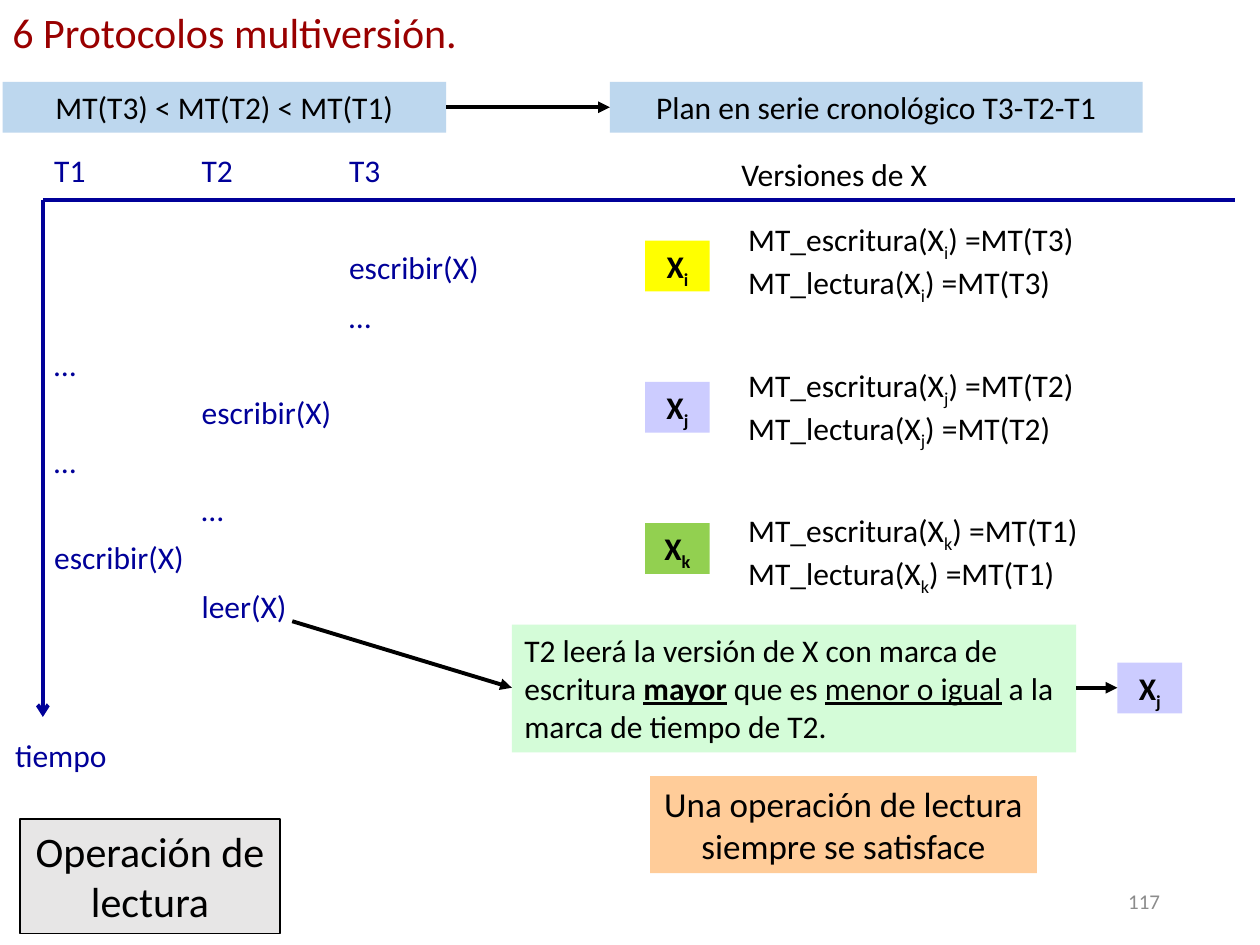
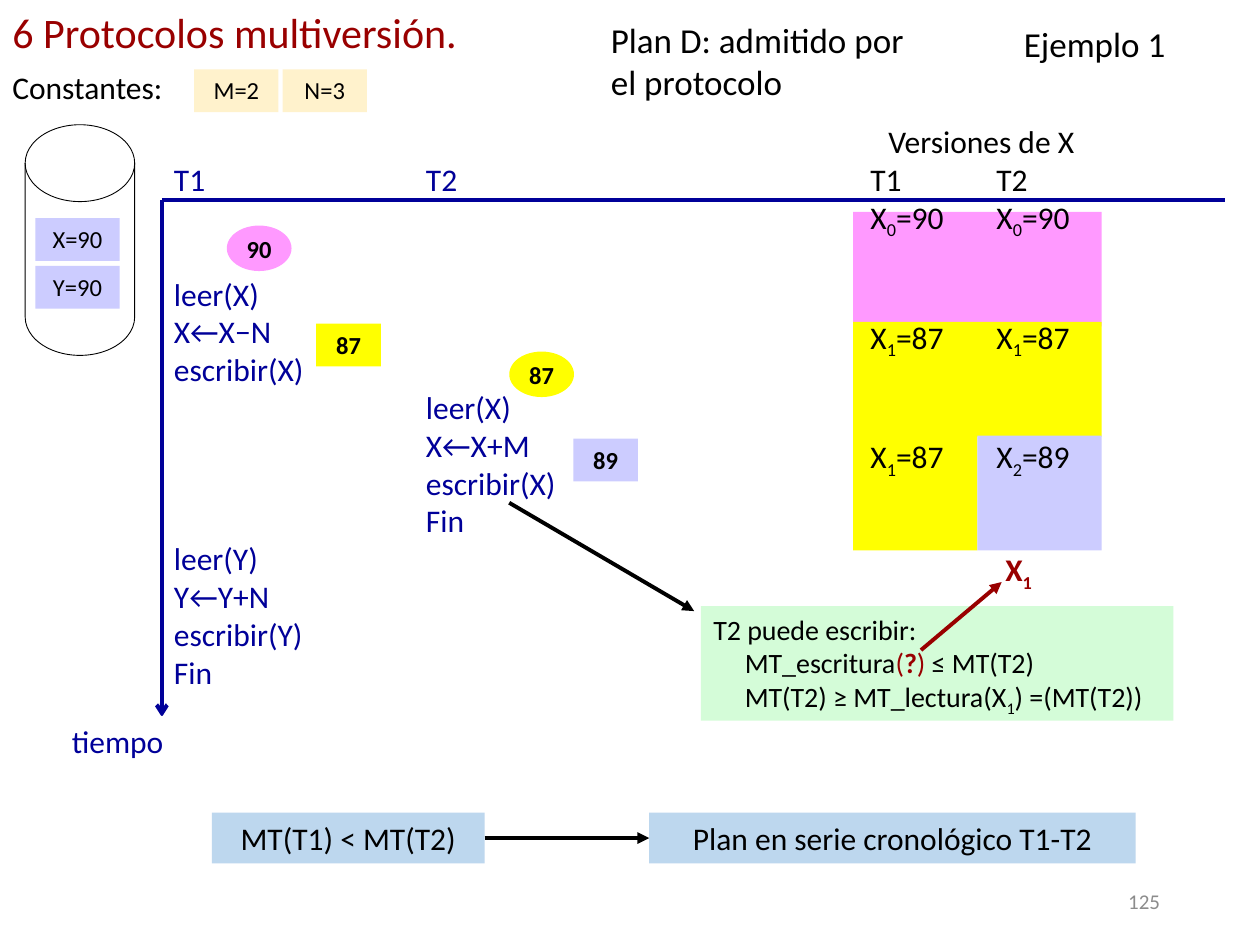
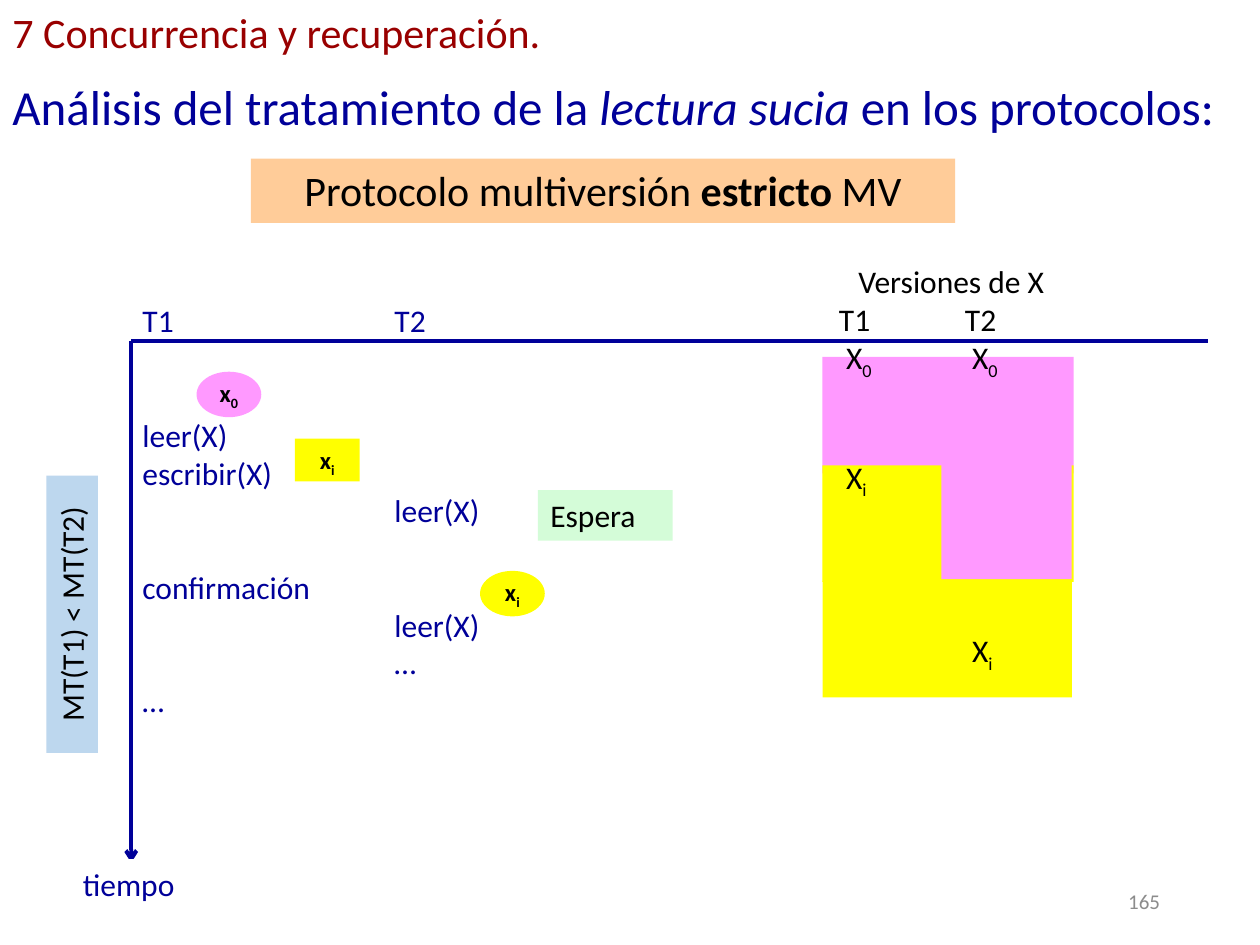
import pptx
import pptx.util
import pptx.dml.color
import pptx.enum.shapes
import pptx.enum.text
import pptx.oxml.ns
import lxml.etree

Pt = pptx.util.Pt
KIND = pptx.enum.shapes.MSO_SHAPE
ALIGN = pptx.enum.text.PP_ALIGN
ANCHOR = pptx.enum.text.MSO_ANCHOR
LINK = pptx.enum.shapes.MSO_CONNECTOR.STRAIGHT
tag = pptx.oxml.ns.qn

BLACK, WHITE, GREY = "000000", "FFFFFF", "8C8C8C"
NAVY, RED = "000099", "990000"
SKY, MINT, PEACH, CREAM = "BDD7EE", "D4FCD8", "FFCC99", "FFF2CC"
YELLOW, LILAC, PINK, GREEN, SILVER = "FFFF00", "CCCCFF", "FF99FF", "92D050", "E7E6E6"
FONT = "Calibri"
ROW = 22


def paint(part, code):
    part.rgb = pptx.dml.color.RGBColor.from_string(code)


def sub(base, mark, rest="", style=""):
    return [(base, style), (mark, style + "s"), (rest, style)]


def style_run(run, size, code, marks):
    font = run.font
    font.name, font.size = FONT, Pt(size)
    paint(font.color, RED if "r" in marks else code)
    font.bold = "b" in marks
    font.italic = "i" in marks
    font.underline = "u" in marks
    if "s" in marks:
        font._element.set("baseline", "-25000")


def write(shape, lines, size=18, code=BLACK, align=ALIGN.LEFT, wrap=True, mid=False):
    frame = shape.text_frame
    frame.word_wrap = wrap
    frame.vertical_anchor = ANCHOR.MIDDLE if mid else ANCHOR.TOP
    for n, line in enumerate(lines):
        par = frame.add_paragraph() if n else frame.paragraphs[0]
        par.alignment = align
        pieces = [line] if isinstance(line, str) else line
        for piece in pieces:
            words, marks = (piece, "") if isinstance(piece, str) else piece
            if words:
                run = par.add_run()
                run.text = words
                style_run(run, size, code, marks)
    return frame


def label(slide, box, lines, **look):
    return write(slide.shapes.add_textbox(*map(Pt, box)), lines, **look)


def block(slide, box, fill, lines=(), kind=KIND.RECTANGLE, edge=0, align=ALIGN.CENTER, **look):
    shape = slide.shapes.add_shape(kind, *map(Pt, box))
    shape.shadow.inherit = False
    shape.fill.solid()
    paint(shape.fill.fore_color, fill)
    if edge:
        shape.line.width = Pt(edge)
        paint(shape.line.color, BLACK)
    else:
        shape.line.fill.background()
    write(shape, lines, align=align, **look)
    return shape


def chip(slide, x, y, fill, words):
    return block(slide, (x, y, 37, 24.5), fill, [words], size=14)


def mark(slide, x, y, fill, name):
    block(slide, (x, y, 37, 29), fill, [sub("X", name, style="b")])


def oval(slide, x, y, fill, words):
    shape = block(slide, (x, y, 37, 26), fill, [words], kind=KIND.OVAL, size=14, wrap=False, mid=True)
    frame = shape.text_frame
    frame.margin_left = frame.margin_right = 0
    frame.margin_top = frame.margin_bottom = 0


def line(slide, x1, y1, x2, y2, code=BLACK, head="triangle"):
    link = slide.shapes.add_connector(LINK, *map(Pt, (x1, y1, x2, y2)))
    link.line.width = Pt(2.25)
    paint(link.line.color, code)
    if head:
        end = lxml.etree.SubElement(link.line._get_or_add_ln(), tag("a:tailEnd"))
        end.set("type", head)
    lxml.etree.SubElement(link._element.spPr, tag("a:effectLst"))


def axes(slide, x, y, right, low, note):
    line(slide, x, y, x, low, NAVY, "arrow")
    line(slide, x, y, right, y, NAVY, None)
    block(slide, (*note, 70, 29), WHITE, ["tiempo"], code=NAVY, align=ALIGN.LEFT)


def indent(par, size):
    props = par._p.get_or_add_pPr()
    props.set("marL", str(int(Pt(size))))
    props.set("indent", "0")


def stops(par, step, count):
    tabs = lxml.etree.SubElement(par._p.get_or_add_pPr(), tag("a:tabLst"))
    for n in range(1, count + 1):
        stop = lxml.etree.SubElement(tabs, tag("a:tab"))
        stop.set("pos", str(int(Pt(step * n))))
        stop.set("algn", "l")


def grid(slide, box, step, rows, gap=0, code=NAVY, inset=0):
    frame = label(slide, box, [words for _, _, words in rows], code=code)
    frame.margin_left = frame.margin_right = Pt(inset)
    last = rows[0][0] - 1
    for par, (row, col, _) in zip(frame.paragraphs, rows):
        stops(par, step, 2)
        if col:
            indent(par, col * step)
        skip = row - last - 1
        par.space_before = Pt(round(gap * (row > 0) + skip * (ROW + gap), 2))
        last = row
    return frame


def versions(slide, box, rows):
    head = [(0, 0, "Versiones de X"), (1, 0, "T1\tT2")]
    frame = grid(slide, box, 72, head + rows, code=BLACK, inset=7.2)
    frame.paragraphs[0].alignment = ALIGN.CENTER


def order(slide, y, left, wide, right, span, rule, plan):
    block(slide, (left, y, wide, 29), SKY, [rule])
    block(slide, (right, y, span, 29), SKY, [plan])
    line(slide, left + wide, y + 14.5, right, y + 14.5)


def start(deck, title, wide, page):
    slide = deck.slides.add_slide(deck.slide_layouts[6])
    label(slide, (508, 500.5, 162, 29), [page], size=12, code=GREY, align=ALIGN.RIGHT, mid=True)
    label(slide, (0, 0, wide, 36), [title], size=24, code=RED, wrap=False)
    return slide


def reading(deck):
    slide = start(deck, "6 Protocolos multiversión.", 272, "117")
    grid(slide, (31, 82.8, 471, 280), 84.25, [
        (0, 0, "T1\tT2\tT3"), (2, 2, "escribir(X)"), (3, 2, "…"), (4, 0, "…"),
        (5, 1, "escribir(X)"), (6, 0, "…"), (7, 1, "…"), (8, 0, "escribir(X)"),
        (9, 1, "leer(X)")], gap=6)
    order(slide, 46.8, 1.5, 253.5, 348.5, 304.5,
          "MT(T3) < MT(T2) < MT(T1)", "Plan en serie cronológico T3-T2-T1")
    axes(slide, 24.5, 114.5, 705.6, 409.7, (1.5, 417))
    label(slide, (332, 85, 289.5, 29), ["Versiones de X"], align=ALIGN.CENTER)
    items = [("i", "T3", YELLOW), ("j", "T2", LILAC), ("k", "T1", GREEN)]
    for n, (name, owner, fill) in enumerate(items):
        label(slide, (420.5, 122.4 + 83 * n, 232.5, 51),
              [sub(f"{verb}(X", name, f") =MT({owner})") for verb in ("MT_escritura", "MT_lectura")])
        mark(slide, 368.6, 137.5 + 80.7 * n, fill, name)
    block(slide, (292.5, 357, 322.5, 73), MINT, [[
        "T2 leerá la versión de X con marca de escritura ", ("mayor", "bu"), " que es ",
        ("menor o igual", "u"), " a la marca de tiempo de T2."]], align=ALIGN.LEFT)
    line(slide, 167, 355, 292.5, 393)
    block(slide, (371.5, 443.5, 221, 55.5), PEACH, ["Una operación de lectura siempre se satisface"], size=20)
    mark(slide, 638.5, 378.7, LILAC, "j")
    line(slide, 615, 393, 638.5, 393)
    block(slide, (11.5, 468, 148.5, 65.5), SILVER, ["Operación de lectura"], edge=0.75, size=24)


def example(deck):
    slide = start(deck, "6 Protocolos multiversión.", 272, "125")
    label(slide, (578, 9.4, 107.5, 31.5), ["Ejemplo 1"], size=20)
    label(slide, (0, 35.3, 116.5, 29), ["Constantes:"])
    label(slide, (342, 7.2, 196, 55.5), ["Plan D: admitido por el protocolo"], size=20)
    block(slide, (14.4, 71.3, 62.6, 131.8), WHITE, kind=KIND.FLOWCHART_MAGNETIC_DISK, edge=0.5)
    cells = [(111, 39.6, CREAM, "M=2"), (161.5, 39.6, CREAM, "N=3"),
             (20.2, 124.6, LILAC, "X=90"), (20.2, 152, LILAC, "Y=90")]
    for x, y, fill, words in cells:
        block(slide, (x, y, 48.2, 24.5), fill, [words], size=14)
    order(slide, 464.4, 121, 156, 371, 278, "MT(T1) < MT(T2)", "Plan en serie cronológico T1-T2")
    areas = [(487.5, 121, 142, PINK), (487.5, 184, 142, YELLOW),
             (487.5, 249, 71, YELLOW), (558.5, 249, 71, LILAC)]
    for x, y, wide, fill in areas:
        block(slide, (x, y, wide, 65.5), fill)
    states = [("0", "90", "0", "90"), ("1", "87", "1", "87"), ("1", "87", "2", "89")]
    versions(slide, (490.3, 66.2, 141, 269), [
        (2 + 3 * n, 0, sub("X", a, f"={v}\t") + sub("X", b, f"={w}"))
        for n, (a, v, b, w) in enumerate(states)])
    grid(slide, (99.4, 87.8, 272, 312.5), 144, [
        (0, 0, "T1\tT2"), (3, 0, "leer(X)"), (4, 0, "X←X−N"), (5, 0, "escribir(X)"),
        (6, 1, "leer(X)"), (7, 1, "X←X+M"), (8, 1, "escribir(X)"), (9, 1, "Fin"),
        (10, 0, "leer(Y)"), (11, 0, "Y←Y+N"), (12, 0, "escribir(Y)"), (13, 0, "Fin")])
    oval(slide, 129.6, 128.9, PINK, [("90", "b")])
    oval(slide, 291, 200.9, YELLOW, [("87", "b")])
    chip(slide, 180.7, 185, YELLOW, [("87", "b")])
    chip(slide, 327.6, 250.6, LILAC, [("89", "b")])
    note = block(slide, (400.5, 346.3, 270, 65.5), MINT, [
        "T2 puede escribir:",
        ["MT_escritura", ("(", "r"), ("?", "rb"), (")", "r"), " ≤ MT(T2)"],
        sub("MT(T2) ≥ MT_lectura(X", "1", ") =(MT(T2))")], size=16, align=ALIGN.LEFT)
    for par in note.text_frame.paragraphs[1:]:
        indent(par, 18)
    line(slide, 291, 287.3, 396.7, 349.2)
    axes(slide, 92.5, 114.5, 700, 409.7, (34, 409))
    line(slide, 526.3, 371.5, 572.4, 332.6, RED)
    label(slide, (567.4, 311, 34, 29), [sub("X", "1", style="b")], code=RED)


def strict(deck):
    slide = start(deck, "7 Concurrencia y recuperación.", 320.4, "165")
    label(slide, (0, 40.3, 709, 41), [[
        "Análisis del tratamiento de la ", ("lectura sucia ", "i"), "en los protocolos:"]],
        size=28, code=NAVY)
    block(slide, (143.3, 90.7, 402.5, 36.7), PEACH, [[
        "Protocolo multiversión ", ("estricto ", "b"), "MV"]], size=24)
    grid(slide, (81.4, 168.5, 275.8, 250.5), 144, [
        (0, 0, "T1\tT2"), (3, 0, "leer(X)"), (4, 0, "escribir(X)"), (5, 1, "leer(X)"),
        (7, 0, "confirmación"), (8, 1, "leer(X)"), (9, 1, "…"), (10, 0, "…")])
    areas = [(470, 204, 143.5, PINK), (470, 266, 143.5, YELLOW),
             (470, 332, 142.5, YELLOW), (538, 264.5, 74.5, PINK)]
    for x, y, wide, fill in areas:
        block(slide, (x, y, wide, 66.5), fill)
    rule = block(slide, (-38, 336.2, 158.4, 29.5), SKY, ["MT(T1) < MT(T2)"])
    rule.rotation = 270
    axes(slide, 75, 194.6, 690.5, 493, (40.3, 491))
    oval(slide, 112.3, 212.4, PINK, sub("x", "0", style="b"))
    oval(slide, 274.3, 326.2, YELLOW, sub("x", "i", style="b"))
    chip(slide, 168.5, 250.6, YELLOW, sub("x", "i", style="b"))
    block(slide, (307.4, 280, 77, 29), MINT, ["Espera"], align=ALIGN.LEFT)
    versions(slide, (472.3, 146.2, 142.5, 269), [
        (2, 0, sub(" X", "0", "\t") + sub(" X", "0")),
        (5, 0, sub(" X", "i")), (9.4, 1, sub(" X", "i"))])


def main():
    deck = pptx.Presentation()
    deck.slide_width, deck.slide_height = Pt(720), Pt(540)
    reading(deck)
    example(deck)
    strict(deck)
    deck.save("out.pptx")


if __name__ == "__main__":
    main()
